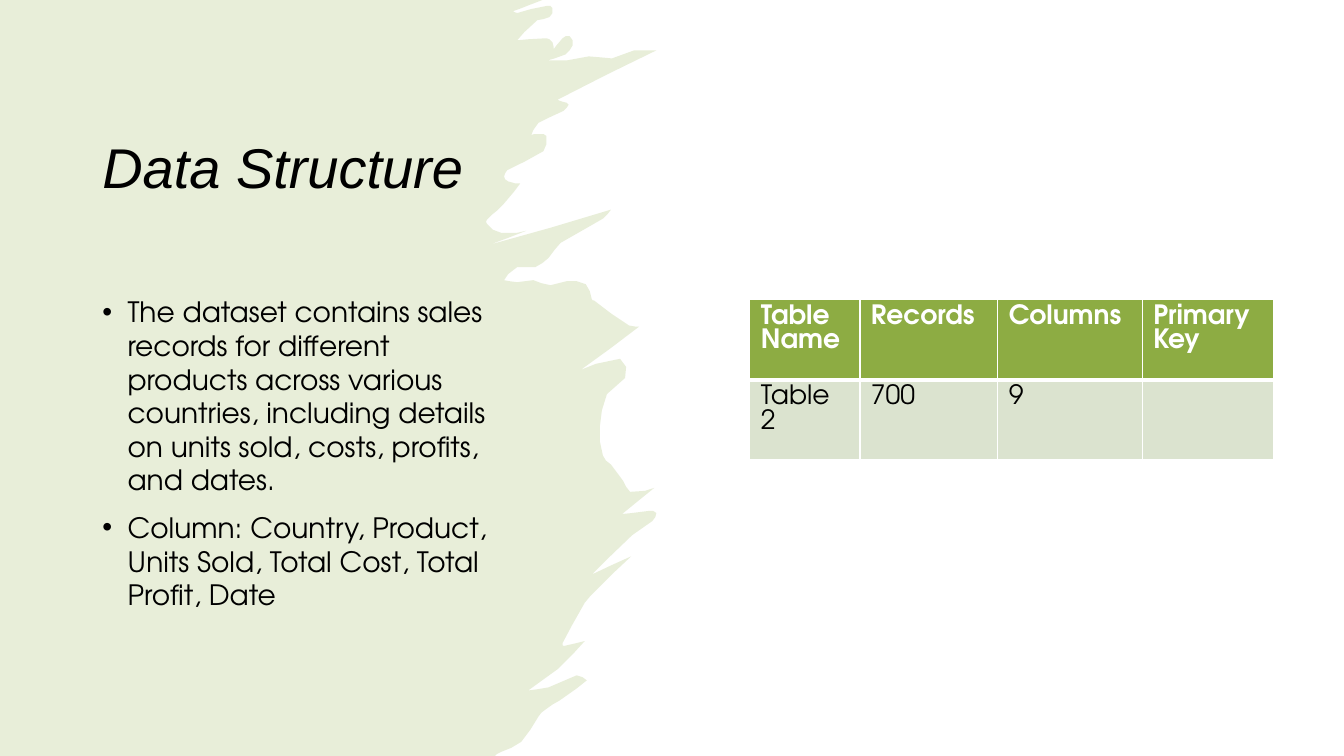
"""Build the Data Structure slide with a brushed panel, bullets and a table."""
from dataclasses import dataclass
from math import hypot
from typing import Any

from lxml.etree import SubElement
from pptx import Presentation as Deck
from pptx.dml.color import RGBColor as Rgb
from pptx.enum.text import MSO_ANCHOR as Anchor
from pptx.oxml import parse_xml as parse
from pptx.oxml.ns import nsdecls, qn
from pptx.util import Inches, Pt

BLACK = Rgb(0, 0, 0)
WHITE = Rgb(255, 255, 255)
GREEN = Rgb(0x8D, 0xAC, 0x43)
PALE = Rgb(0xDB, 0xE3, 0xCF)
FACE = "TeX Gyre Adventor"
CELL = Inches(1) / 12
DOT = Inches(0.01)
Point = tuple[float, float]

EDGE: list[Point] = [
    (491, 750), (497, 746), (517, 736), (534, 711), (541, 704), (555, 695),
    (582, 675), (572, 670), (544, 682), (524, 685), (553, 664), (580, 636),
    (559, 641), (558, 638), (576, 605), (585, 592), (626, 552), (587, 570),
    (627, 531), (647, 517), (651, 509), (643, 507), (617, 510), (649, 484),
    (625, 488), (618, 477), (606, 461), (598, 452), (595, 423), (602, 391),
    (620, 375), (615, 356), (576, 367), (634, 324), (624, 323), (589, 298),
    (587, 297), (581, 282), (562, 279), (546, 283), (529, 278), (513, 280),
    (500, 278), (513, 265), (531, 265), (544, 256), (556, 241), (598, 217),
    (606, 208), (485, 243), (522, 229), (497, 231), (483, 222), (483, 218),
    (493, 209), (499, 203), (516, 182), (504, 180), (500, 175), (503, 169),
    (539, 150), (542, 135), (535, 133), (527, 134), (534, 122), (559, 110),
    (564, 104), (558, 101), (553, 99), (651, 50), (629, 50), (607, 58),
    (584, 56), (562, 60), (543, 60), (561, 54), (568, 45), (565, 36),
    (558, 38), (549, 49), (548, 42), (542, 38), (513, 40), (533, 20),
    (545, 17), (548, 8), (542, 6), (513, 13), (509, 11), (525, 5), (538, 0),
]


@dataclass(frozen=True)
class Box:
    """A text box placed in grid columns and rows."""
    col: float
    row: float
    wide: float
    high: float
    lines: tuple[str, ...]
    font: dict[str, Any]
    para: dict[str, Any]
    anchor: Anchor = Anchor.TOP
    bullet: bool = False


BOXES = [
    Box(11, 8.45, 51, 23.65, ("Data Structure",),
        {"name": "Arial", "size": Pt(40), "italic": True},
        {"line_spacing": 0.9}, Anchor.MIDDLE),
    Box(11, 34.5, 51, 46.7,
        ("The dataset contains sales records for different products across "
         "various countries, including details on units sold, costs, profits, "
         "and dates.",
         "Column: Country, Product, Units Sold, Total Cost, Total Profit, Date"),
        {"name": FACE, "size": Pt(20)}, {"space_before": Pt(10)}, bullet=True),
]


@dataclass(frozen=True)
class Row:
    """A table row with its look."""
    texts: tuple[str, ...]
    fill: Rgb
    ink: Rgb
    bold: bool
    rules: dict[str, int]


WIDTHS = (13.1, 16.4, 17.2, 15.6)
ROWS = [
    Row(("Table Name", "Records", "Columns", "Primary Key"), GREEN, WHITE, True,
        {"lnL": 1, "lnR": 1, "lnT": 1, "lnB": 3}),
    Row(("Table 2", "700", "9", ""), PALE, BLACK, False,
        {"lnL": 1, "lnR": 1, "lnT": 3, "lnB": 1}),
]


def grid(*units: float) -> list[int]:
    """Turn grid units into lengths."""
    return [round(unit * CELL) for unit in units]


def apply(item: Any, values: dict[str, Any]) -> None:
    """Set each format value on an item."""
    for name, value in values.items():
        setattr(item, name, value)


def aim(start: Point, end: Point) -> Point:
    """Give the unit direction between two dots."""
    x, y = end[0] - start[0], end[1] - start[1]
    size = hypot(x, y) or 1
    return x / size, y / size


def smooth(dots: list[Point], steps: int = 2) -> list[Point]:
    """Join the dots with soft curves that keep sharp tips."""
    leans: list[Point] = [(0, 0)]
    for a, b, c in zip(dots, dots[1:], dots[2:]):
        (ax, ay), (bx, by) = aim(a, b), aim(b, c)
        leans.append((0, 0) if ax * bx + ay * by < -0.4 else aim(a, c))
    leans.append((0, 0))
    curve = [dots[0]]
    for start, end, out, back in zip(dots, dots[1:], leans, leans[1:]):
        reach = hypot(end[0] - start[0], end[1] - start[1]) / 3
        for step in range(1, steps + 1):
            t = step / steps
            u = 1 - t
            x, y = (u**3 * a + 3 * u * u * t * (a + reach * m)
                    + 3 * u * t * t * (b - reach * n) + t**3 * b
                    for a, b, m, n in zip(start, end, out, back))
            curve.append((x, y))
    return curve


def draw_brush(slide: Any) -> None:
    """Draw the brushed panel on the left."""
    pen = slide.shapes.build_freeform(0, 0, scale=DOT)
    pen.add_line_segments([(0, 750), *smooth(EDGE)], close=True)
    brush = pen.convert_to_shape()
    brush.shadow.inherit = False
    brush.fill.solid()
    brush.fill.fore_color.rgb = GREEN
    brush.line.fill.background()
    tint = brush.fill._xPr.find(qn("a:solidFill"))[0]
    SubElement(tint, qn("a:alpha"), val="20000")


def draw_box(slide: Any, box: Box) -> None:
    """Draw a text box."""
    frame = slide.shapes.add_textbox(
        *grid(box.col, box.row, box.wide, box.high)).text_frame
    apply(frame, {"word_wrap": True, "vertical_anchor": box.anchor})
    for i, line in enumerate(box.lines):
        para = frame.add_paragraph() if i else frame.paragraphs[0]
        run = para.add_run()
        run.text = line
        apply(run.font, box.font)
        run.font.color.rgb = BLACK
        apply(para, box.para)
        if box.bullet:
            props = para._p.get_or_add_pPr()
            props.set("marL", str(Inches(0.25)))
            props.set("indent", str(-Inches(0.25)))
            SubElement(props, qn("a:buFont"), typeface="Arial")
            SubElement(props, qn("a:buChar"), char="•")


def draw_table(slide: Any) -> None:
    """Draw the table of records."""
    table = slide.shapes.add_table(
        len(ROWS), len(WIDTHS), *grid(89.25, 35.65, sum(WIDTHS), 19.1)).table
    apply(table, {"first_row": False, "horz_banding": False})
    for col, wide in zip(table.columns, grid(*WIDTHS)):
        col.width = wide
    for line, row in zip(table.rows, ROWS):
        for cell, text in zip(line.cells, row.texts):
            fill_cell(cell, text, row)


def fill_cell(cell: Any, text: str, row: Row) -> None:
    """Write and style one cell."""
    side, edge = Inches(0.11), Inches(0.05)
    apply(cell, {"margin_left": side, "margin_right": side,
                 "margin_top": edge, "margin_bottom": edge})
    cell.fill.solid()
    cell.fill.fore_color.rgb = row.fill
    if text:
        run = cell.text_frame.paragraphs[0].add_run()
        run.text = text
        apply(run.font, {"name": FACE, "size": Pt(19), "bold": row.bold})
        run.font.color.rgb = row.ink
    props = cell._tc.get_or_add_tcPr()
    for i, (tag, width) in enumerate(row.rules.items()):
        props.insert(i, parse(
            f'<a:{tag} {nsdecls("a")} w="{Pt(width)}"><a:solidFill>'
            f'<a:srgbClr val="{WHITE}"/></a:solidFill></a:{tag}>'))


def main() -> None:
    """Build and save the deck."""
    deck = Deck()
    apply(deck, {"slide_width": Inches(13.33), "slide_height": Inches(7.5)})
    slide = deck.slides.add_slide(deck.slide_layouts[6])
    draw_brush(slide)
    for box in BOXES:
        draw_box(slide, box)
    draw_table(slide)
    deck.save("out.pptx")


if __name__ == "__main__":
    main()
